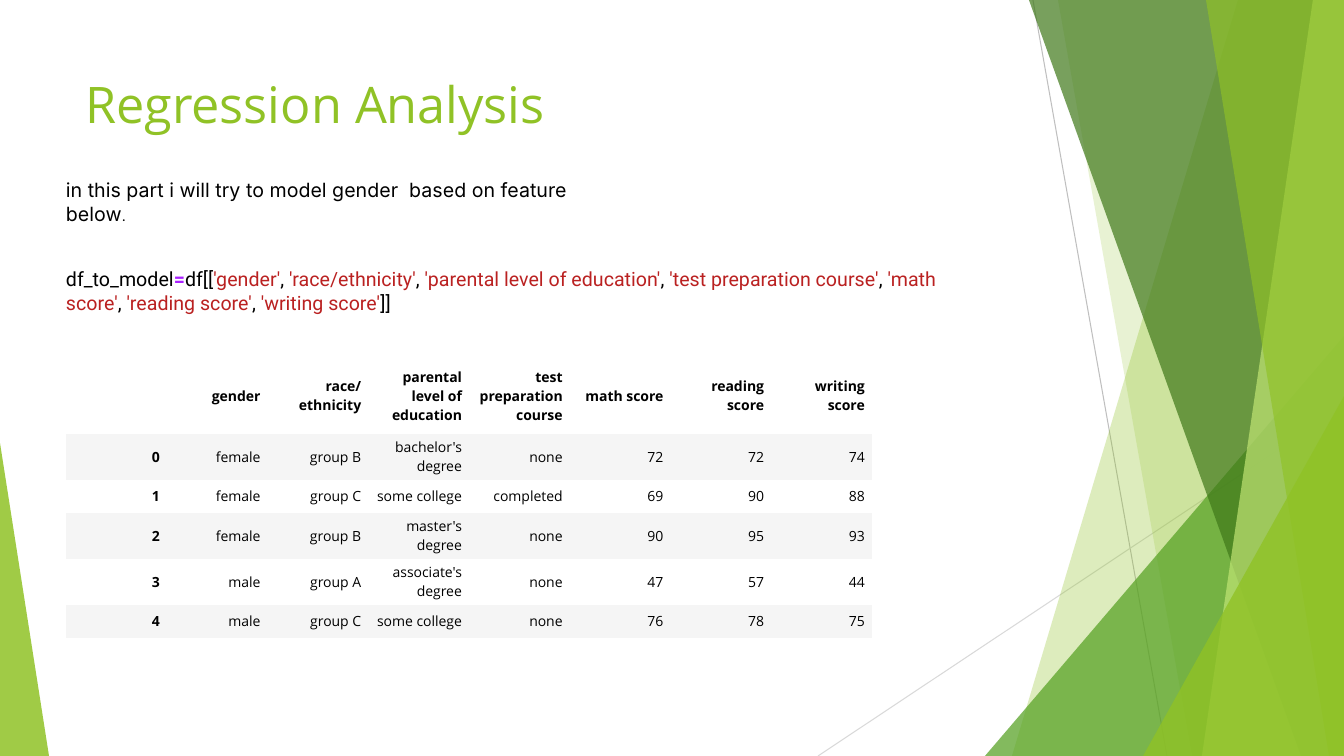
from lxml import etree
from pptx import Presentation
from pptx.dml.color import RGBColor
from pptx.enum.shapes import MSO_CONNECTOR, MSO_SHAPE
from pptx.enum.text import MSO_ANCHOR, PP_ALIGN
from pptx.oxml.ns import qn
from pptx.util import Pt

STRAIGHT = MSO_CONNECTOR.STRAIGHT
TRIANGLE = MSO_SHAPE.ISOSCELES_TRIANGLE
TOP, MIDDLE = MSO_ANCHOR.TOP, MSO_ANCHOR.MIDDLE
LEFT, RIGHT = PP_ALIGN.LEFT, PP_ALIGN.RIGHT
PIXEL = 914400 / 100.8
WIDTH, HEIGHT = 1344, 756
NO_STYLE_NO_GRID = "{2D5ABB26-0587-4C30-8999-92F81FD0307C}"

COLORS = {
    "lime": "90C226", "green": "54A021", "forest": "3F7819", "pale": "C0E474",
    "gray": "BFBFBF", "light gray": "D9D9D9", "stripe": "F5F5F5",
    "black": "000000", "string": "BA2121", "operator": "AA22FF",
}


def emu(*pixels):
    return [round(value * PIXEL) for value in pixels]


def format_run(run, font_name, size, color, bold=False):
    run.font.name = font_name
    run.font.size = Pt(size)
    run.font.bold = bold
    run.font.color.rgb = RGBColor.from_string(COLORS[color])


presentation = Presentation()
presentation.slide_width, presentation.slide_height = emu(WIDTH, HEIGHT)
slide = presentation.slides.add_slide(presentation.slide_layouts[5])
shapes = slide.shapes

rays = [((1033, 0, 1167, HEIGHT), "gray"), ((WIDTH, 406, 818, HEIGHT), "light gray")]
for ends, color in rays:
    ray = shapes.add_connector(STRAIGHT, *emu(*ends))
    ray.line.width = Pt(0.75)
    ray.line.color.rgb = RGBColor.from_string(COLORS[color])
    etree.SubElement(ray._element.spPr, qn("a:effectLst"))

facets = [
    ("band", (1238, 1012), "lime", 30),
    ("band", (1058, 1192), "lime", 20),
    ("triangle", (985, 336, 359, 420, 1), "green", 72),
    ("band", (1029, 1301), "forest", 70),
    ("band", (1313, 1202), "pale", 70),
    ("band", (1206, 1329), "lime", 65),
    ("triangle", (1143, 396, 201, 360, 1), "lime", 80),
    ("triangle", (0, 443, 49, 313, 0), "lime", 85),
]
for kind, geometry, color, opacity in facets:
    if kind == "band":
        top_left, bottom_left = geometry
        outline = shapes.build_freeform(top_left, 0, scale=PIXEL)
        outline.add_line_segments([(WIDTH, 0), (WIDTH, HEIGHT), (bottom_left, HEIGHT)])
        facet = outline.convert_to_shape()
    else:
        facet = shapes.add_shape(TRIANGLE, *emu(*geometry[:4]))
        facet.adjustments[0] = geometry[4]
    facet.shadow.inherit = False
    facet.line.fill.background()
    facet.fill.solid()
    facet.fill.fore_color.rgb = RGBColor.from_string(COLORS[color])
    fill_color = facet._element.spPr.find(qn("a:solidFill")).find(qn("a:srgbClr"))
    etree.SubElement(fill_color, qn("a:alpha"), val=str(opacity * 1000))

title = shapes.title
title.left, title.top, title.width, title.height = emu(75, 68, 948, 145)
title.text_frame.text = "Regression Analysis"
title.text_frame.vertical_anchor = TOP
title_paragraph = title.text_frame.paragraphs[0]
title_paragraph.alignment = LEFT
format_run(title_paragraph.runs[0], "Open Sans", 36, "lime")

header = ["", "gender", "race/ethnicity", "parental level of education",
          "test preparation course", "math score", "reading score", "writing score"]
students = [
    ["female", "group B", "bachelor's degree", "none", 72, 72, 74],
    ["female", "group C", "some college", "completed", 69, 90, 88],
    ["female", "group B", "master's degree", "none", 90, 95, 93],
    ["male", "group A", "associate's degree", "none", 47, 57, 44],
    ["male", "group C", "some college", "none", 76, 78, 75],
]
rows = [header] + [[index, *student] for index, student in enumerate(students)]
row_heights = emu(76, 46, 33, 46, 46, 33)
table_frame = shapes.add_table(len(rows), len(header), *emu(66, 358, 806, 280))
table = table_frame.table
table.first_row = table.horz_banding = False
table._tbl.tblPr.find(qn("a:tableStyleId")).text = NO_STYLE_NO_GRID
for row_index, values in enumerate(rows):
    table.rows[row_index].height = row_heights[row_index]
    for column_index, value in enumerate(values):
        cell = table.cell(row_index, column_index)
        cell.margin_left, cell.margin_top, cell.margin_right, cell.margin_bottom = emu(7, 4, 7, 4)
        cell.vertical_anchor = MIDDLE
        if row_index % 2:
            cell.fill.solid()
            cell.fill.fore_color.rgb = RGBColor.from_string(COLORS["stripe"])
        else:
            cell.fill.background()
        cell.text_frame.text = str(value)
        paragraph = cell.text_frame.paragraphs[0]
        paragraph.alignment = RIGHT
        for run in paragraph.runs:
            format_run(run, "Open Sans", 10, "black", row_index == 0 or column_index == 0)

intro = [("in this part i will try to model gender  based on feature below", 14, "black"),
         (".", 10, "black")]
code = [("df_to_model", 14, "black"), ("=", 14, "operator"), ("df[[", 14, "black")]
for feature in header[1:]:
    separator = "]]" if feature == header[-1] else ", "
    code += [(f"'{feature}'", 14, "string"), (separator, 14, "black")]

text_blocks = [
    ((66, 178, 533, 48), "Inter", intro),
    ((66, 267, 915, 46), "Roboto", code),
]
for box, font_name, pieces in text_blocks:
    text_frame = shapes.add_textbox(*emu(*box)).text_frame
    text_frame.word_wrap = True
    text_frame.vertical_anchor = TOP
    text_frame.margin_left = text_frame.margin_right = 0
    text_frame.margin_top = text_frame.margin_bottom = 0
    for text, size, color in pieces:
        run = text_frame.paragraphs[0].add_run()
        run.text = text
        format_run(run, font_name, size, color, color == "operator")

presentation.save("out.pptx")
